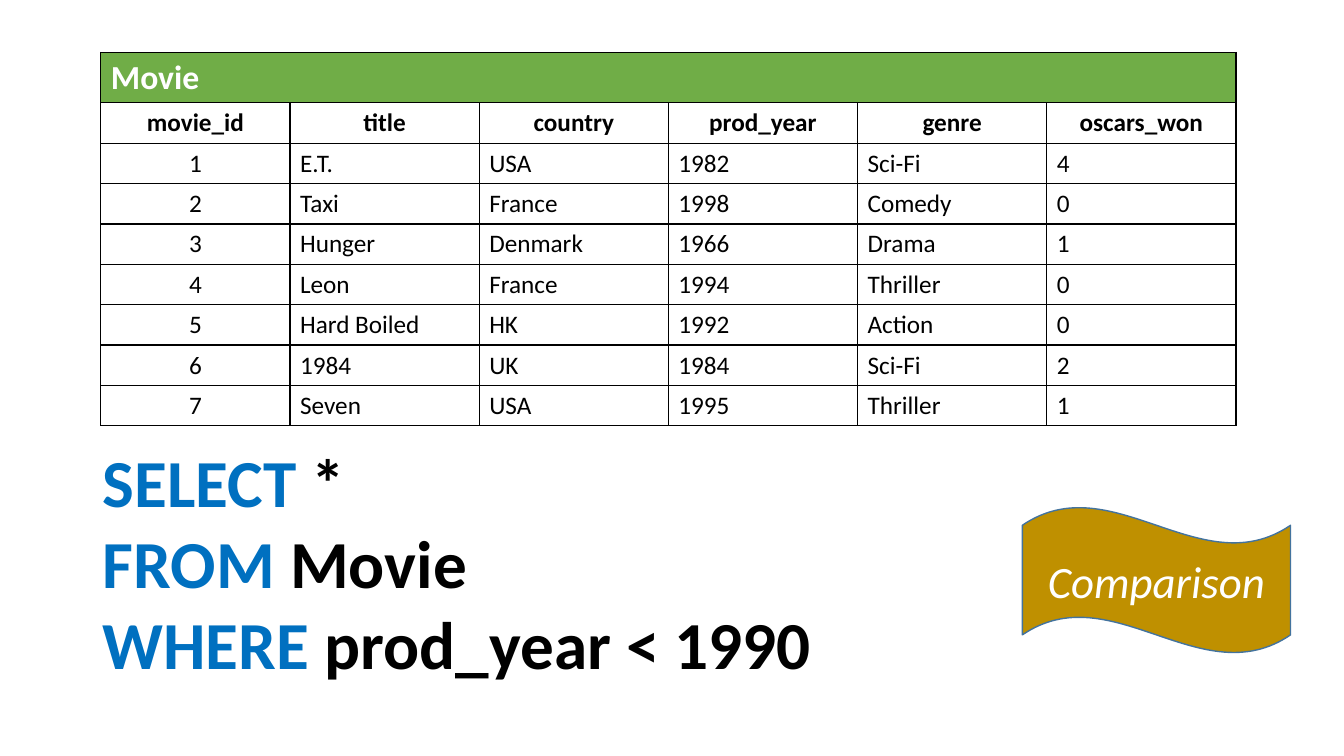
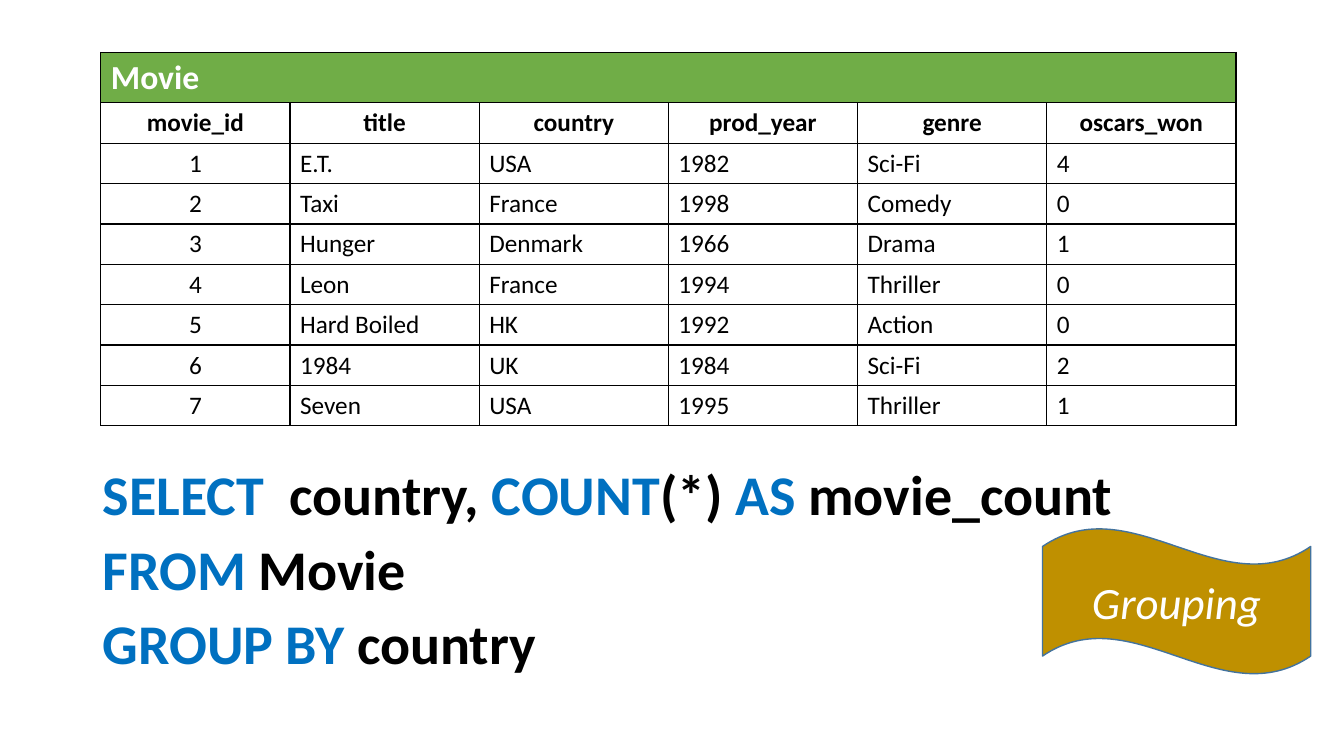
from itertools import cycle

from lxml.etree import SubElement
from pptx import Presentation
from pptx.dml.color import RGBColor
from pptx.enum.shapes import MSO_SHAPE
from pptx.enum.text import MSO_ANCHOR, PP_ALIGN
from pptx.oxml.ns import qn
from pptx.util import Inches, Pt

# Shared colours and font
FONT = "Calibri"
BLACK = RGBColor(0x00, 0x00, 0x00)
WHITE = RGBColor(0xFF, 0xFF, 0xFF)
GREEN = RGBColor(0x70, 0xAD, 0x47)
BLUE = RGBColor(0x00, 0x70, 0xC0)
GOLD = RGBColor(0xBF, 0x90, 0x00)
STEEL = RGBColor(0x43, 0x73, 0x9E)

# Sample data
TABLE_NAME = "Movie"
COLUMNS = ["movie_id", "title", "country", "prod_year", "genre", "oscars_won"]
MOVIES = [
    ["1", "E.T.", "USA", "1982", "Sci-Fi", "4"],
    ["2", "Taxi", "France", "1998", "Comedy", "0"],
    ["3", "Hunger", "Denmark", "1966", "Drama", "1"],
    ["4", "Leon", "France", "1994", "Thriller", "0"],
    ["5", "Hard Boiled", "HK", "1992", "Action", "0"],
    ["6", "1984", "UK", "1984", "Sci-Fi", "2"],
    ["7", "Seven", "USA", "1995", "Thriller", "1"],
]


class QueryDeck:
    """Holds the style and the current slide."""

    def __init__(self):
        self.presentation = Presentation()
        self.presentation.slide_width = Inches(13.33)
        self.presentation.slide_height = Inches(7.5)
        self.slide = None

    def add_slide(self):
        blank_layout = self.presentation.slide_layouts[6]
        self.slide = self.presentation.slides.add_slide(blank_layout)

    def style_font(self, font, size, color, bold=False, italic=False):
        font.name = FONT
        font.size = Pt(size)
        font.color.rgb = color
        font.bold = bold
        font.italic = italic

    def style_cell(self, cell, fill, size, color, bold, centered):
        properties = cell._tc.get_or_add_tcPr()
        for side in ("a:lnL", "a:lnR", "a:lnT", "a:lnB"):
            border = SubElement(properties, qn(side), w=str(Pt(1)))
            border_fill = SubElement(border, qn("a:solidFill"))
            SubElement(border_fill, qn("a:srgbClr"), val=str(BLACK))
        cell.fill.solid()
        cell.fill.fore_color.rgb = fill
        paragraph = cell.text_frame.paragraphs[0]
        paragraph.alignment = PP_ALIGN.CENTER if centered else PP_ALIGN.LEFT
        self.style_font(paragraph.font, size, color, bold)
        for run in paragraph.runs:
            self.style_font(run.font, size, color, bold)

    def add_movie_table(self):
        rows = [[TABLE_NAME] + [""] * (len(COLUMNS) - 1), COLUMNS] + MOVIES
        frame = self.slide.shapes.add_table(
            len(rows), len(COLUMNS),
            Inches(1), Inches(0.52), Inches(11.26), Inches(3.7))
        table = frame.table
        table.horz_banding = False
        for row_index, values in enumerate(rows):
            is_title = row_index == 0
            is_header = row_index == 1
            table.rows[row_index].height = Inches(0.5 if is_title else 0.4)
            for column_index, value in enumerate(values):
                cell = table.cell(row_index, column_index)
                cell.text_frame.text = value
                self.style_cell(
                    cell,
                    fill=GREEN if is_title else WHITE,
                    size=24 if is_title else 18,
                    color=WHITE if is_title else BLACK,
                    bold=is_title or is_header,
                    centered=is_header or (column_index == 0 and not is_title))
        table.cell(0, 0).merge(table.cell(0, len(COLUMNS) - 1))

    def add_query(self, lines, top, height, size, gap):
        """Each line alternates between keyword and plain parts."""
        box = self.slide.shapes.add_textbox(
            Inches(0.92), Inches(top), Inches(11.5), Inches(height))
        text_frame = box.text_frame
        text_frame.word_wrap = True
        for index, parts in enumerate(lines):
            paragraph = (text_frame.add_paragraph() if index
                         else text_frame.paragraphs[0])
            paragraph.line_spacing = 0.9
            paragraph.space_before = Pt(gap if index else 0)
            for part, color in zip(parts, cycle((BLUE, BLACK))):
                run = paragraph.add_run()
                run.text = part
                self.style_font(run.font, size, color, bold=True)

    def add_topic_flag(self, topic, left, top):
        shape = self.slide.shapes.add_shape(
            MSO_SHAPE.WAVE, Inches(left), Inches(top),
            Inches(2.66), Inches(1.45))
        shape.shadow.inherit = False
        shape.fill.solid()
        shape.fill.fore_color.rgb = GOLD
        shape.line.color.rgb = STEEL
        shape.line.width = Pt(1)
        text_frame = shape.text_frame
        text_frame.word_wrap = True
        text_frame.vertical_anchor = MSO_ANCHOR.MIDDLE
        text_frame.text = topic
        paragraph = text_frame.paragraphs[0]
        paragraph.alignment = PP_ALIGN.CENTER
        self.style_font(paragraph.runs[0].font, 32, WHITE, italic=True)


def main():
    deck = QueryDeck()

    # Comparison
    deck.add_slide()
    deck.add_query(
        [["SELECT", " *"],
         ["FROM", " Movie"],
         ["WHERE", " prod_year < 1990"]],
        top=4.41, height=2.91, size=48, gap=6)
    deck.add_movie_table()
    deck.add_topic_flag("Comparison", left=10.14, top=5.03)

    # Grouping
    deck.add_slide()
    deck.add_query(
        [["SELECT", "  country, ", "COUNT", "(*) ", "AS", " movie_count"],
         ["FROM", " Movie"],
         ["GROUP BY ", "country"]],
        top=4.59, height=2.57, size=40, gap=10)
    deck.add_movie_table()
    deck.add_topic_flag("Grouping", left=10.34, top=5.24)

    deck.presentation.save("out.pptx")


if __name__ == "__main__":
    main()
